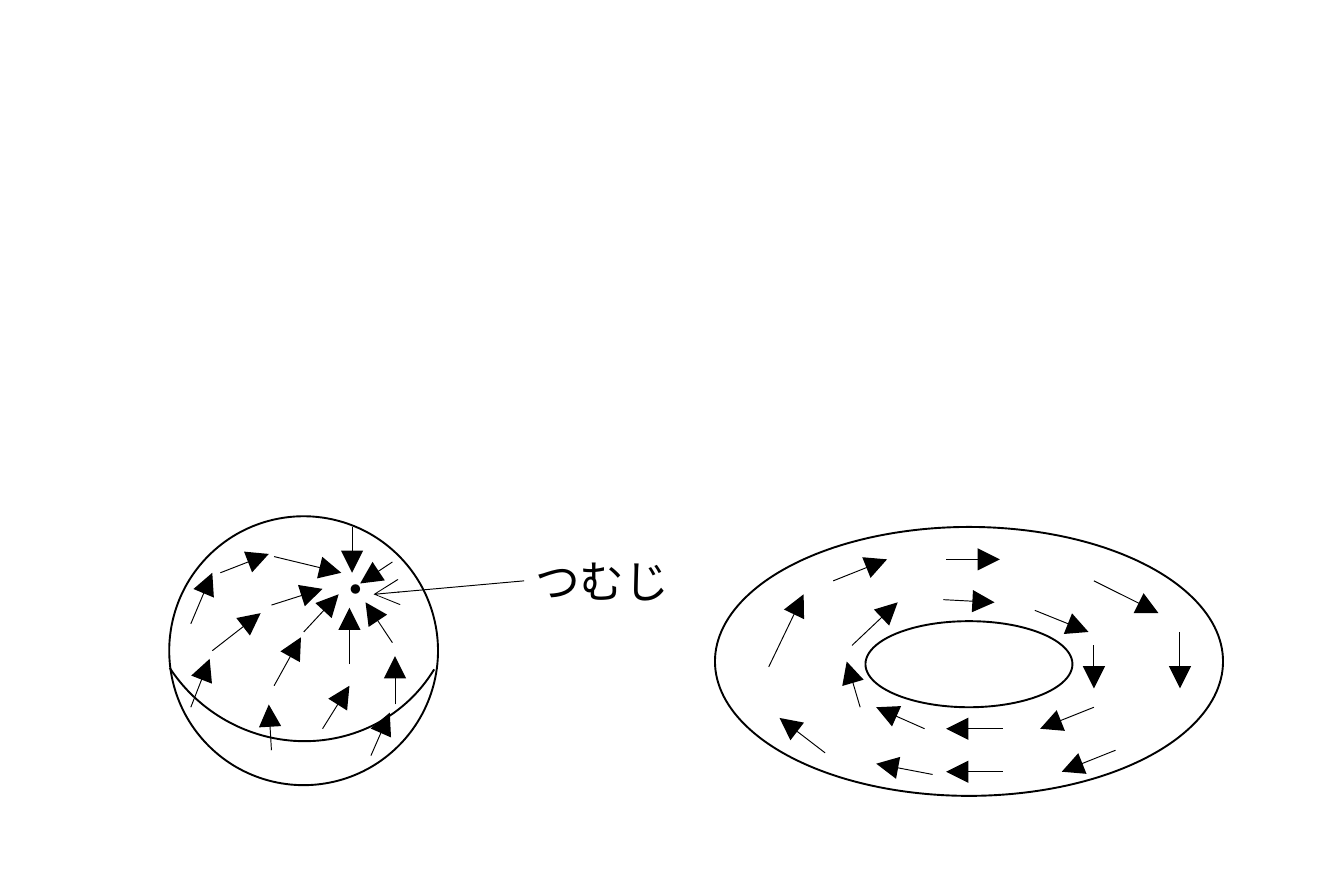
from dataclasses import dataclass

from lxml.etree import SubElement
from pptx import Presentation
from pptx.dml.color import RGBColor
from pptx.enum.shapes import MSO_CONNECTOR, MSO_SHAPE
from pptx.enum.text import MSO_AUTO_SIZE
from pptx.oxml.ns import qn
from pptx.util import Cm, Pt


@dataclass(frozen=True)
class Theme:
    ink: RGBColor = RGBColor(0, 0, 0)
    font: str = "Noto Sans CJK JP"
    text_size: Pt = Pt(12)
    outline: Pt = Pt(0.5)
    arrow_line: Pt = Pt(0.25)


THEME = Theme()

# Flow arrows as (from x, from y, to x, to y), in grid units of 2.54 cm
SPHERE_FLOW = [
    (1.46, 2.39, 1.36, 2.24), (1.30, 2.47, 1.30, 2.26),
    (1.13, 2.35, 1.26, 2.21), (1.02, 2.07, 1.27, 2.13),
    (1.47, 2.62, 1.47, 2.44), (1.38, 2.81, 1.45, 2.65),
    (1.20, 2.71, 1.30, 2.55), (1.02, 2.55, 1.12, 2.37),
    (1.01, 2.25, 1.20, 2.19), (0.79, 2.42, 0.97, 2.28),
    (0.82, 2.13, 1.00, 2.06), (1.46, 2.09, 1.34, 2.17),
    (1.31, 1.96, 1.31, 2.13), (1.01, 2.79, 1.00, 2.62),
    (0.71, 2.63, 0.78, 2.45), (0.71, 2.32, 0.79, 2.13),
]
TORUS_FLOW = [
    # Outer ring, clockwise from the left
    (2.86, 2.48, 2.99, 2.21), (3.10, 2.16, 3.30, 2.08),
    (3.52, 2.08, 3.72, 2.08), (4.07, 2.16, 4.31, 2.28),
    (4.39, 2.35, 4.39, 2.56), (4.15, 2.79, 3.95, 2.87),
    (3.73, 2.87, 3.52, 2.87), (3.47, 2.88, 3.26, 2.84),
    (3.07, 2.80, 2.90, 2.67),
    # Inner ring, clockwise from the left
    (3.20, 2.63, 3.15, 2.46), (3.17, 2.40, 3.34, 2.24),
    (3.51, 2.23, 3.70, 2.24), (3.85, 2.27, 4.05, 2.35),
    (4.07, 2.40, 4.07, 2.56), (4.07, 2.63, 3.87, 2.71),
    (3.73, 2.71, 3.52, 2.71), (3.44, 2.71, 3.26, 2.63),
]


def grid(*values):
    return [Cm(2.54 * v) for v in values]


def add_outline(shapes, kind, *box):
    s = shapes.add_shape(kind, *grid(*box))
    s.shadow.inherit = False
    s.fill.background()
    s.line.color.rgb = THEME.ink
    s.line.width = THEME.outline
    return s


def add_arrow(shapes, ends, head="triangle"):
    s = shapes.add_connector(MSO_CONNECTOR.STRAIGHT, *grid(*ends))
    s.line.color.rgb = THEME.ink
    s.line.width = THEME.arrow_line
    SubElement(s.line._get_or_add_ln(), qn("a:tailEnd"), type=head)
    SubElement(s._element.spPr, qn("a:effectLst"))


def add_label(shapes, text, *box):
    tf = shapes.add_textbox(*grid(*box)).text_frame
    tf.word_wrap = True
    tf.auto_size = MSO_AUTO_SIZE.NONE
    tf.margin_left = tf.margin_right = Cm(0.13)
    tf.margin_top = tf.margin_bottom = Cm(0.05)
    p = tf.paragraphs[0]
    r = p.add_run()
    r.text = text
    r.font.name = THEME.font
    r.font.size = THEME.text_size
    r.font.color.rgb = THEME.ink
    SubElement(r.font._element, qn("a:ea"), typeface=THEME.font)


def add_sphere(shapes):
    # Whorl point and its label, with room for one line each
    add_label(shapes, "つむじ", 1.94, 2.04, 0.7, 0.25)
    add_label(shapes, "・", 1.19, 2.07, 0.3, 0.25)
    add_arrow(shapes, (1.95, 2.16, 1.39, 2.21), head="arrow")

    # Ball with its equator
    add_outline(shapes, MSO_SHAPE.OVAL, 0.63, 1.92, 1, 1)
    equator = add_outline(shapes, MSO_SHAPE.ARC, 0.55, 1.6, 1.13, 1.17)
    equator.adjustments[0] = 160.85
    equator.adjustments[1] = 15.07
    equator.rotation = 123.2

    for ends in SPHERE_FLOW:
        add_arrow(shapes, ends)


def add_torus(shapes):
    add_outline(shapes, MSO_SHAPE.OVAL, 2.66, 1.96, 1.89, 1)
    add_outline(shapes, MSO_SHAPE.OVAL, 3.22, 2.31, 0.77, 0.32)
    for ends in TORUS_FLOW:
        add_arrow(shapes, ends)


def main():
    prs = Presentation()
    prs.slide_width, prs.slide_height = grid(5, 3.25)
    slide = prs.slides.add_slide(prs.slide_layouts[6])
    add_sphere(slide.shapes.add_group_shape().shapes)
    add_torus(slide.shapes)
    prs.save("out.pptx")


if __name__ == "__main__":
    main()
